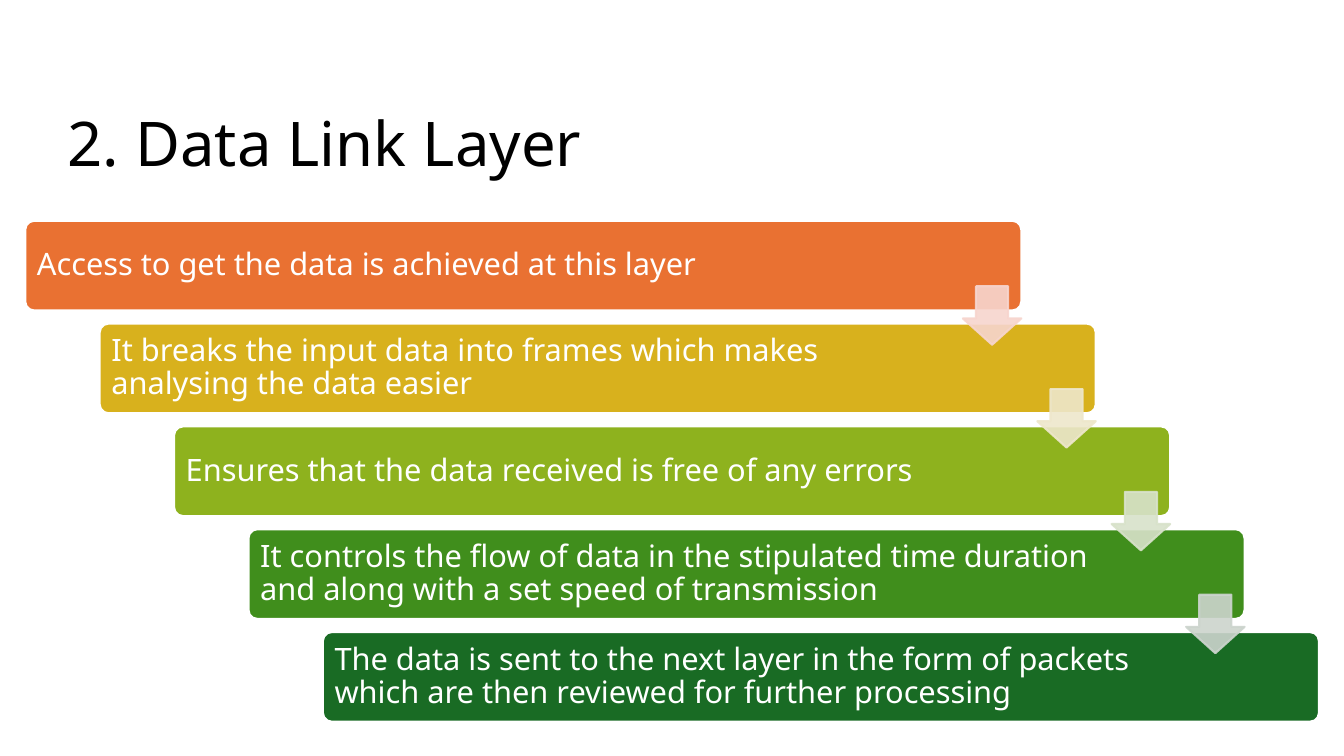
from lxml.etree import SubElement
from pptx import Presentation
from pptx.dml.color import RGBColor
from pptx.enum.shapes import MSO_SHAPE
from pptx.enum.text import MSO_ANCHOR, PP_ALIGN
from pptx.oxml.ns import qn
from pptx.util import Inches, Pt

FONT = "Noto Sans"
BLACK = RGBColor(0x00, 0x00, 0x00)
WHITE = RGBColor(0xFF, 0xFF, 0xFF)
ORANGE = RGBColor(0xE9, 0x71, 0x32)
GOLD = RGBColor(0xD8, 0xB1, 0x1D)
LIME = RGBColor(0x8E, 0xB2, 0x1E)
GREEN = RGBColor(0x40, 0x8E, 0x1C)
DARK_GREEN = RGBColor(0x19, 0x6B, 0x24)
ARROW_COLORS = [
    RGBColor(0xF7, 0xD5, 0xCE),
    RGBColor(0xEE, 0xE7, 0xCB),
    RGBColor(0xD8, 0xE2, 0xCA),
    RGBColor(0xCC, 0xD4, 0xCD),
]
STEPS = [
    ("Access to get the data is achieved at this layer", ORANGE),
    ("It breaks the input data into frames which makes analysing the data easier", GOLD),
    ("Ensures that the data received is free of any errors", LIME),
    ("It controls the flow of data in the stipulated time duration and along with "
     "a set speed of transmission", GREEN),
    ("The data is sent to the next layer in the form of packets which are then "
     "reviewed for further processing", DARK_GREEN),
]
# Each step lies this far right of and below the one before
STEP_X, STEP_Y = 0.738, 1.02


def add_step_shape(kind, left, top, width, height, adjustments, fill, line):
    shape = slide.shapes.add_shape(
        kind, Inches(left), Inches(top), Inches(width), Inches(height))
    shape.shadow.inherit = False
    for index, value in enumerate(adjustments):
        shape.adjustments[index] = value
    shape.fill.solid()
    shape.fill.fore_color.rgb = fill
    shape.line.color.rgb = line
    shape.line.width = Pt(1.5)
    return shape


presentation = Presentation()
presentation.slide_width = Inches(13.33)
presentation.slide_height = Inches(7.5)
slide = presentation.slides.add_slide(presentation.slide_layouts[5])

# Title
title = slide.shapes.title
title.left, title.top = Inches(0.57), Inches(1.07)
title.width, title.height = Inches(12.2), Inches(1.79)
title.text_frame.text = "2. Data Link Layer"
title.text_frame.vertical_anchor = MSO_ANCHOR.TOP
paragraph = title.text_frame.paragraphs[0]
paragraph.alignment = PP_ALIGN.LEFT
paragraph.line_spacing = 0.9
paragraph.font.name = FONT
paragraph.font.size = Pt(44)
paragraph.font.color.rgb = BLACK

# Staircase of bars
for index, (text, color) in enumerate(STEPS):
    bar = add_step_shape(
        MSO_SHAPE.ROUNDED_RECTANGLE, 0.25 + index * STEP_X, 2.19 + index * STEP_Y,
        9.88, 0.89, [0.1], color, WHITE)
    frame = bar.text_frame
    frame.word_wrap = True
    frame.vertical_anchor = MSO_ANCHOR.MIDDLE
    frame.margin_left = frame.margin_top = frame.margin_bottom = Inches(0.09)
    frame.margin_right = Inches(1.4)
    frame.text = text
    paragraph = frame.paragraphs[0]
    paragraph.alignment = PP_ALIGN.LEFT
    paragraph.line_spacing = 0.9
    paragraph.font.name = FONT
    paragraph.font.size = Pt(22)
    paragraph.font.color.rgb = WHITE

# Slightly transparent arrows from each bar to the next
for index, color in enumerate(ARROW_COLORS):
    arrow = add_step_shape(
        MSO_SHAPE.DOWN_ARROW, 9.55 + index * STEP_X, 2.84 + index * STEP_Y,
        0.58, 0.58, [0.55, 0.45], color, color)
    for color_element in arrow.element.spPr.iter(qn("a:srgbClr")):
        SubElement(color_element, qn("a:alpha"), val="90000")

presentation.save("out.pptx")
